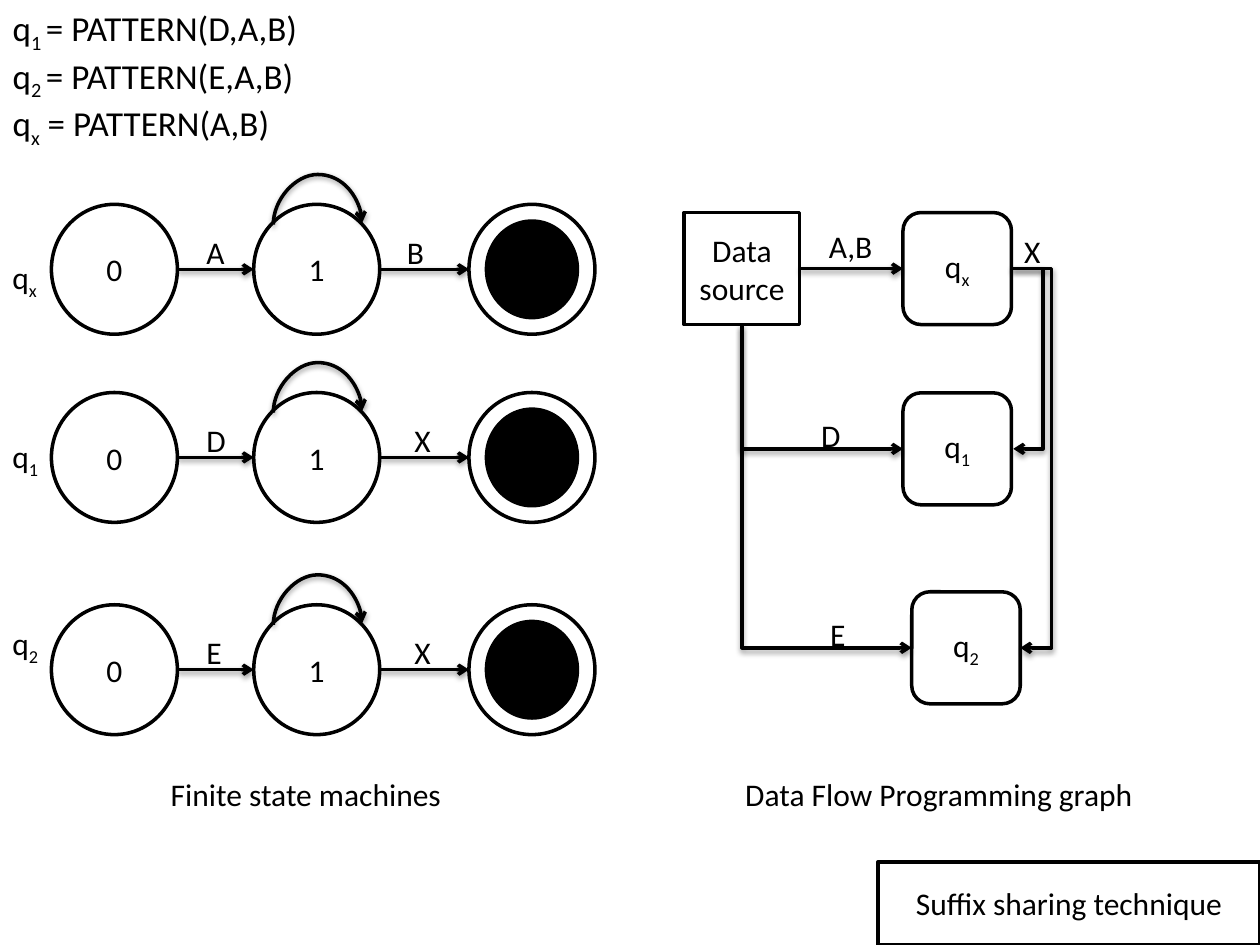
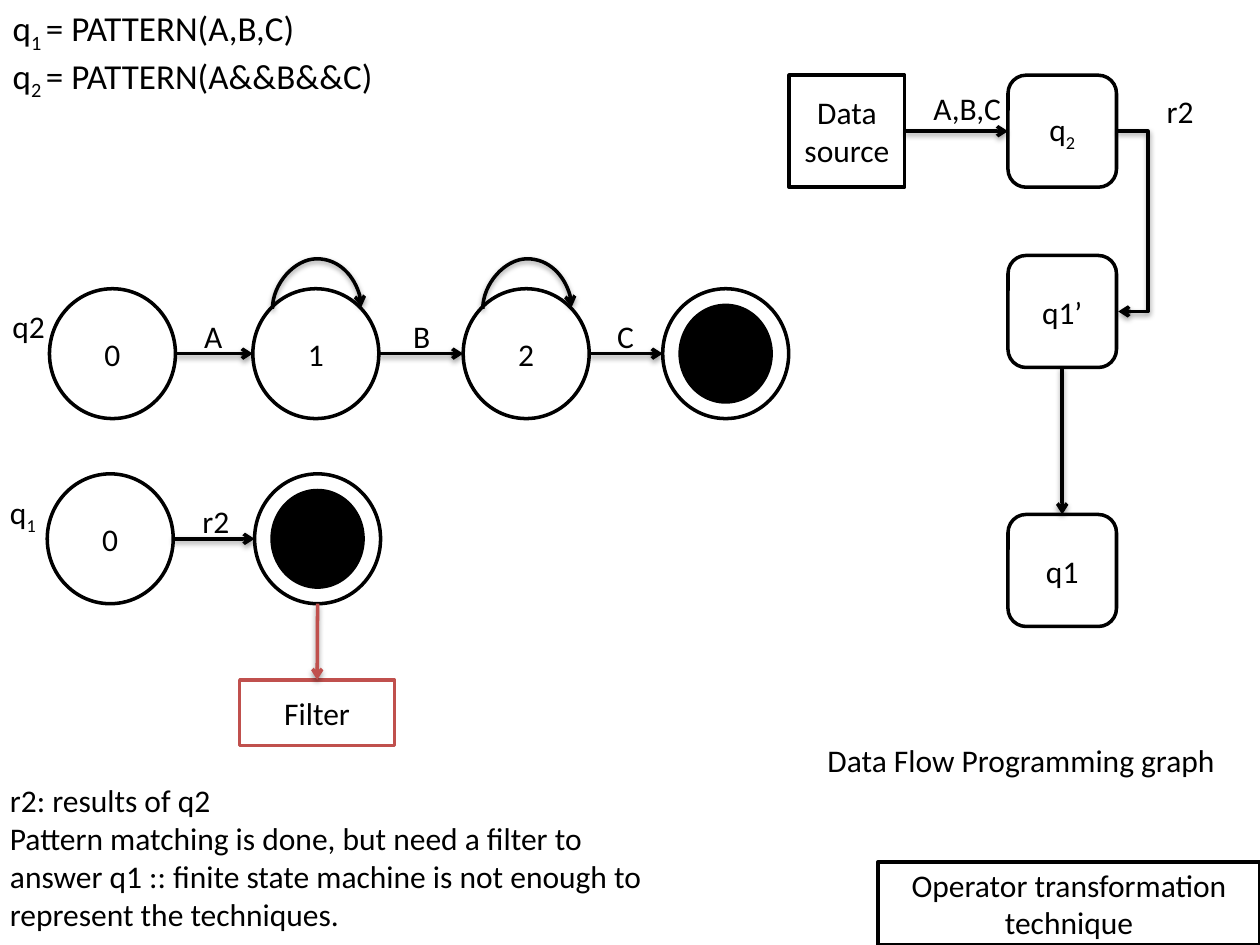
"""Builds two slides on sharing techniques for pattern queries."""
from lxml import etree
from pptx import Presentation
from pptx.dml.color import RGBColor
from pptx.enum.shapes import MSO_CONNECTOR as Link, MSO_SHAPE as Geo
from pptx.enum.text import MSO_ANCHOR as Anchor, MSO_AUTO_SIZE as Fit, PP_ALIGN as Align
from pptx.oxml import parse_xml
from pptx.oxml.ns import nsdecls, qn
from pptx.util import Pt

COLORS = {"ink": "000000", "paper": "FFFFFF", "filter": "C0504D"}
STATE_W, STATE_H = 72, 74.2
QUERY_W, SOURCE_W, NODE_H = 62, 66, 64
SHADOW = (
    f'<a:effectLst {nsdecls("a")}><a:outerShdw blurRad="40000" dist="20000" dir="5400000" '
    'rotWithShape="0"><a:srgbClr val="000000"><a:alpha val="38000"/></a:srgbClr>'
    '</a:outerShdw></a:effectLst>'
)


class Sketch:
    """Holds the diagram style and the current slide."""

    def __init__(self):
        self.deck = Presentation()
        self.deck.slide_width, self.deck.slide_height = Pt(720), Pt(540)
        self.slide = None

    def color(self, name):
        return RGBColor.from_string(COLORS[name])

    def set_text(self, frame, lines, size=18, align=Align.LEFT):
        """Fill a frame; text between underscores becomes subscript."""
        for number, line in enumerate(lines):
            paragraph = frame.add_paragraph() if number else frame.paragraphs[0]
            paragraph.alignment = align
            paragraph.font.size = Pt(size)
            paragraph.font.name = "Calibri"
            paragraph.font.color.rgb = self.color("ink")
            for index, part in enumerate(line.split("_")):
                if part:
                    run = paragraph.add_run()
                    run.text = part
                    if index % 2:
                        run._r.get_or_add_rPr().set("baseline", "-25000")

    def new_slide(self, patterns, width, height):
        self.slide = self.deck.slides.add_slide(self.deck.slide_layouts[5])
        title = self.slide.shapes.title
        title.left, title.top = Pt(0), Pt(0)
        title.width, title.height = Pt(width), Pt(height)
        frame = title.text_frame
        frame.word_wrap, frame.auto_size = True, Fit.NONE
        frame.vertical_anchor = Anchor.TOP
        self.set_text(frame, patterns, size=20)

    def label(self, lines, left, top, width, height=29.1, wrap=False):
        box = self.slide.shapes.add_textbox(Pt(left), Pt(top), Pt(width), Pt(height))
        box.text_frame.word_wrap = wrap
        box.text_frame.auto_size = Fit.SHAPE_TO_FIT_TEXT
        self.set_text(box.text_frame, lines)

    def node(self, geometry, left, top, width, height, text="", fill="paper", line="ink"):
        shape = self.slide.shapes.add_shape(geometry, Pt(left), Pt(top), Pt(width), Pt(height))
        shape.shadow.inherit = False
        shape.fill.solid()
        shape.fill.fore_color.rgb = self.color(fill)
        shape.line.color.rgb = self.color(line)
        shape.line.width = Pt(2)
        if text:
            shape.text_frame.word_wrap = True
            shape.text_frame.vertical_anchor = Anchor.MIDDLE
            self.set_text(shape.text_frame, [text], align=Align.CENTER)
        return shape

    def source(self, left, top):
        return self.node(Geo.RECTANGLE, left, top, SOURCE_W, NODE_H, "Data source")

    def query(self, text, left, top):
        return self.node(Geo.ROUNDED_RECTANGLE, left, top, QUERY_W, NODE_H, text)

    def caption(self, text):
        self.node(Geo.RECTANGLE, 501.8, 492.5, 218.2, 47.5, text)

    def arrow(self, x1, y1, x2, y2, kind=Link.STRAIGHT, color="ink"):
        link = self.slide.shapes.add_connector(kind, Pt(x1), Pt(y1), Pt(x2), Pt(y2))
        link.line.color.rgb = self.color(color)
        link.line.width = Pt(2)
        etree.SubElement(link.line._get_or_add_ln(), qn("a:tailEnd"), type="arrow")
        link._element.spPr.append(parse_xml(SHADOW))
        return link

    def join(self, start, start_side, end, end_side):
        link = self.arrow(0, 0, 1, 1)
        link.begin_connect(start, start_side)
        link.end_connect(end, end_side)

    def bend(self, link, ratio):
        """Place the middle leg at a multiple of the connector's width."""
        guides = link._element.spPr.find(qn("a:prstGeom")).get_or_add_avLst()
        etree.SubElement(guides, qn("a:gd"), name="adj1", fmla=f"val {round(ratio * 100000)}")

    def turn(self, link, degrees, **flips):
        """Rotate a connector's frame about its centre, keeping its ends."""
        width, height = link.width, link.height
        link.left += (width - height) // 2
        link.top += (height - width) // 2
        link.width, link.height = height, width
        frame = link._element.spPr.find(qn("a:xfrm"))
        for name in ("flipH", "flipV"):
            frame.attrib.pop(name, None)
        frame.set("rot", str(degrees * 60000))
        for name, value in flips.items():
            frame.set(name, value)

    def loop(self, left, top):
        link = self.arrow(left + 11.2, top + 11.5, left + 62, top + 10.5, Link.CURVE)
        self.turn(link, 90, flipH="1", flipV="1")
        self.bend(link, 28.8)

    def feed(self, x1, y1, x2, y2):
        """Go down from the source, then right into a query."""
        link = self.arrow(x1, y1, x2, y2, Link.ELBOW)
        link._element.spPr.find(qn("a:prstGeom")).set("prst", "bentConnector2")
        self.turn(link, 270, flipH="1")

    def share(self, x1, y1, x2, y2, reach):
        """Leave a query on the right and enter another from the right."""
        self.bend(self.arrow(x1, y1, x2, y2, Link.ELBOW), reach / (x2 - x1))

    def machine(self, top, lefts, edges):
        """Draw numbered states, an accepting state and labelled transitions."""
        middle = top + STATE_H / 2
        for number, left in enumerate(lefts[:-1]):
            self.node(Geo.OVAL, left, top, STATE_W, STATE_H, str(number))
            if number:
                self.loop(left, top)
        self.node(Geo.OVAL, lefts[-1], top, STATE_W, STATE_H)
        self.node(Geo.OVAL, lefts[-1] + 10, top + 9.5, 52, 55.2, fill="ink")
        for start, end, (event, left, width) in zip(lefts, lefts[1:], edges):
            self.arrow(start + STATE_W, middle, end, middle)
            self.label([event], left, top + 12.6, width)


def suffix_sharing(sketch):
    sketch.new_slide(["q_1 _= PATTERN(D,A,B)", "q_2 _= PATTERN(E,A,B)",
                      "q_x_ = PATTERN(A,B)"], 186.5, 82)
    machines = [
        (116.8, ("A", 110.9, 25.2), ("B", 225.4, 25.2), "q_x_", 144),
        (224.3, ("D", 110.9, 25.9), ("X", 229.7, 23.8), "q_1_", 246.2),
        (345.6, ("E", 110.9, 23), ("X", 229.7, 23.8), "q_2_", 353),
    ]
    for top, first, last, name, name_top in machines:
        sketch.machine(top, [29.4, 145, 268], [first, last])
        sketch.label([name], 0, name_top, 30)

    source = sketch.source(391, 121.5)
    shared = sketch.query("q_x_", 516, 121.5)
    sketch.join(source, 3, shared, 1)
    sketch.label(["A,B"], 466.6, 126, 39.6)
    sketch.label(["X"], 578.2, 129, 23.8)
    consumers = [("q_1_", 516, 224.5, "D", 462.2, 25.9, 1, 18),
                 ("q_2_", 521, 338.2, "E", 467.3, 23, 5, 23)]
    for name, left, top, event, event_left, event_width, offset, reach in consumers:
        middle = top + NODE_H / 2
        sketch.query(name, left, top)
        sketch.feed(424, 185.5, left, middle)
        sketch.label([event], event_left, middle - 22.5, event_width)
        sketch.share(578, 153.5, 578 + offset, middle, reach)
    sketch.caption("Suffix sharing technique")
    sketch.label(["Finite state machines"], 90.5, 439.2, 183, wrap=True)
    sketch.label(["Data Flow Programming graph"], 418.8, 439.2, 244, wrap=True)


def operator_transformation(sketch):
    sketch.new_slide(["q_1 _= PATTERN(A,B,C)", "q_2 _= PATTERN(A&&B&&C)"], 224.6, 74)
    sketch.machine(165, [28.3, 144.5, 264.7, 378.7],
                   [("A", 109.5, 25.2), ("B", 229, 24.5), ("C", 345.6, 24.5)])
    sketch.label(["q2"], 0, 172.1, 33.1)
    sketch.machine(270.8, [27, 145.5], [("r2", 108.5, 30.2)])
    sketch.label(["q_1_"], -1.4, 278, 30.2)
    result_filter = sketch.node(Geo.RECTANGLE, 137, 388.5, 88.5, 37.5, "Filter", line="filter")
    filtering = sketch.arrow(181.5, 345, 181.25, 388.5, color="filter")
    filtering.end_connect(result_filter, 0)

    source = sketch.source(451, 43)
    conjunction = sketch.query("q_2_", 576, 43)
    sketch.join(source, 3, conjunction, 1)
    sketch.label(["A,B,C"], 526.3, 47.5, 53.3)
    sketch.label(["r2"], 659.5, 49, 30.2)
    ordered = sketch.query("q1’", 576, 146)
    sketch.share(638, 75, 639, 178, 18)
    answer = sketch.query("q1", 576, 294)
    sketch.join(ordered, 2, answer, 0)
    sketch.caption("Operator transformation technique")
    sketch.label(["Data Flow Programming graph"], 465.8, 419.8, 244, wrap=True)
    sketch.label(["r2: results of q2",
                  "Pattern matching is done, but need a filter to answer q1 :: finite state "
                  "machine is not enough to represent the techniques."],
                 -1.4, 442.8, 380, 97.2, wrap=True)


def main():
    sketch = Sketch()
    suffix_sharing(sketch)
    operator_transformation(sketch)
    sketch.deck.save("out.pptx")


if __name__ == "__main__":
    main()
